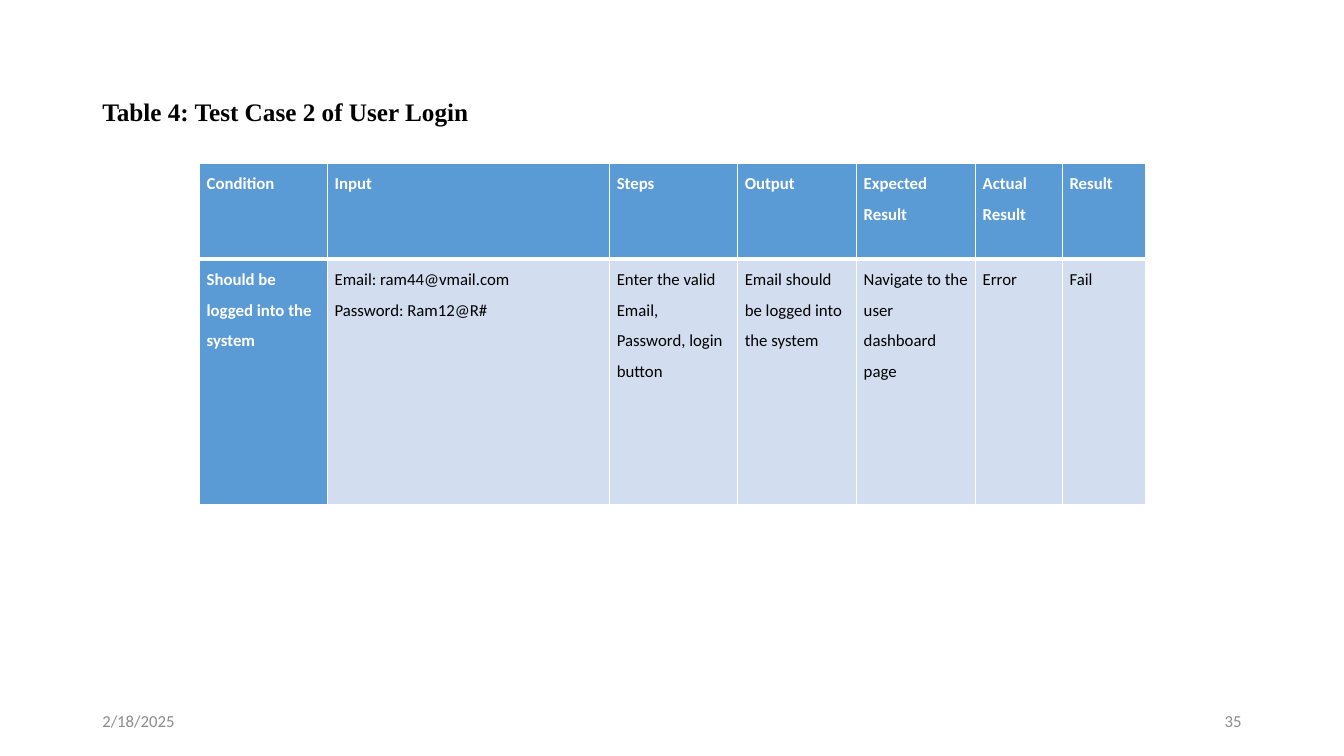
from lxml.etree import SubElement
from pptx import Presentation
from pptx.dml.color import RGBColor
from pptx.enum.text import MSO_ANCHOR, PP_ALIGN
from pptx.oxml.ns import qn
from pptx.util import Pt

COLORS = {
    "header": "5B9BD5",
    "body": "D2DEEF",
    "white": "FFFFFF",
    "black": "000000",
    "footer": "8C8C8C",
}
COLUMN_WIDTHS = [91.4, 201.6, 91.4, 85, 85, 62, 59.6]
ROW_HEIGHTS = [68.4, 175.6]
TEST_CASE = [
    ["Condition", "Input", "Steps", "Output", "Expected Result", "Actual Result", "Result"],
    [
        "Should be logged into the system",
        "Email: ram44@vmail.com\nPassword: Ram12@R#",
        "Enter the valid\nEmail, Password, login button",
        "Email should be logged into the system",
        "Navigate to the user dashboard page",
        "Error",
        "Fail",
    ],
]


def add_run(paragraph, text, size, color, bold=False, font_name="Calibri"):
    run = paragraph.add_run()
    run.text = text
    run.font.size = Pt(size)
    run.font.name = font_name
    run.font.bold = bold
    run.font.color.rgb = RGBColor.from_string(COLORS[color])


def add_text_box(slide, box, alignment=PP_ALIGN.LEFT):
    """Add a vertically centred text box and return its first paragraph."""
    frame = slide.shapes.add_textbox(*map(Pt, box)).text_frame
    frame.word_wrap = True
    frame.vertical_anchor = MSO_ANCHOR.MIDDLE
    paragraph = frame.paragraphs[0]
    paragraph.alignment = alignment
    return paragraph


def add_title(slide, box):
    paragraph = add_text_box(slide, box)
    paragraph.line_spacing = 0.9
    add_run(paragraph, "Table 4: Test Case 2 of User Login", 18, "black", True, "Times New Roman")


def set_borders(cell, widths):
    """Draw white borders; widths maps each side (L, R, T, B) to points."""
    properties = cell._tc.get_or_add_tcPr()
    for side, width in widths.items():
        line = SubElement(properties, qn(f"a:ln{side}"), w=str(Pt(width)))
        fill = SubElement(line, qn("a:solidFill"))
        SubElement(fill, qn("a:srgbClr"), val=COLORS["white"])


def fill_cell(cell, text, is_header, widths):
    set_borders(cell, widths)
    cell.fill.solid()
    cell.fill.fore_color.rgb = RGBColor.from_string(COLORS["header" if is_header else "body"])
    cell.margin_left = cell.margin_right = Pt(5)
    cell.margin_top = cell.margin_bottom = Pt(0)
    frame = cell.text_frame
    for index, line in enumerate(text.split("\n")):
        paragraph = frame.add_paragraph() if index else frame.paragraphs[0]
        paragraph.line_spacing = 1.5
        add_run(paragraph, line, 12, "white" if is_header else "black", is_header)


def add_test_case_table(slide, left, top):
    size = (sum(COLUMN_WIDTHS), sum(ROW_HEIGHTS))
    table = slide.shapes.add_table(
        len(ROW_HEIGHTS), len(COLUMN_WIDTHS), Pt(left), Pt(top), *map(Pt, size)
    ).table
    table.first_col = True
    for column, width in zip(table.columns, COLUMN_WIDTHS):
        column.width = Pt(width)
    for row_index, (row, height) in enumerate(zip(table.rows, ROW_HEIGHTS)):
        row.height = Pt(height)
        top_width, bottom_width = (3, 1) if row_index else (1, 3)
        widths = {"L": 1, "R": 1, "T": top_width, "B": bottom_width}
        for column_index, cell in enumerate(row.cells):
            is_header = row_index == 0 or column_index == 0
            fill_cell(cell, TEST_CASE[row_index][column_index], is_header, widths)


def add_footer(slide, box):
    """Put the date at the left end of the box and the slide number at the right."""
    left, top, width, height = box
    part_width = 216
    date = add_text_box(slide, (left, top, part_width, height))
    add_run(date, "2/18/2025", 12, "footer")
    number_left = left + width - part_width
    number = add_text_box(slide, (number_left, top, part_width, height), PP_ALIGN.RIGHT)
    add_run(number, "35", 12, "footer")


def main():
    presentation = Presentation()
    presentation.slide_width = Pt(960)
    presentation.slide_height = Pt(540)
    slide = presentation.slides.add_slide(presentation.slide_layouts[6])
    add_title(slide, (66, 28.8, 828, 104.4))
    add_test_case_table(slide, 142.6, 116.8)
    add_footer(slide, (66, 500.5, 828, 28.8))
    presentation.save("out.pptx")


if __name__ == "__main__":
    main()
